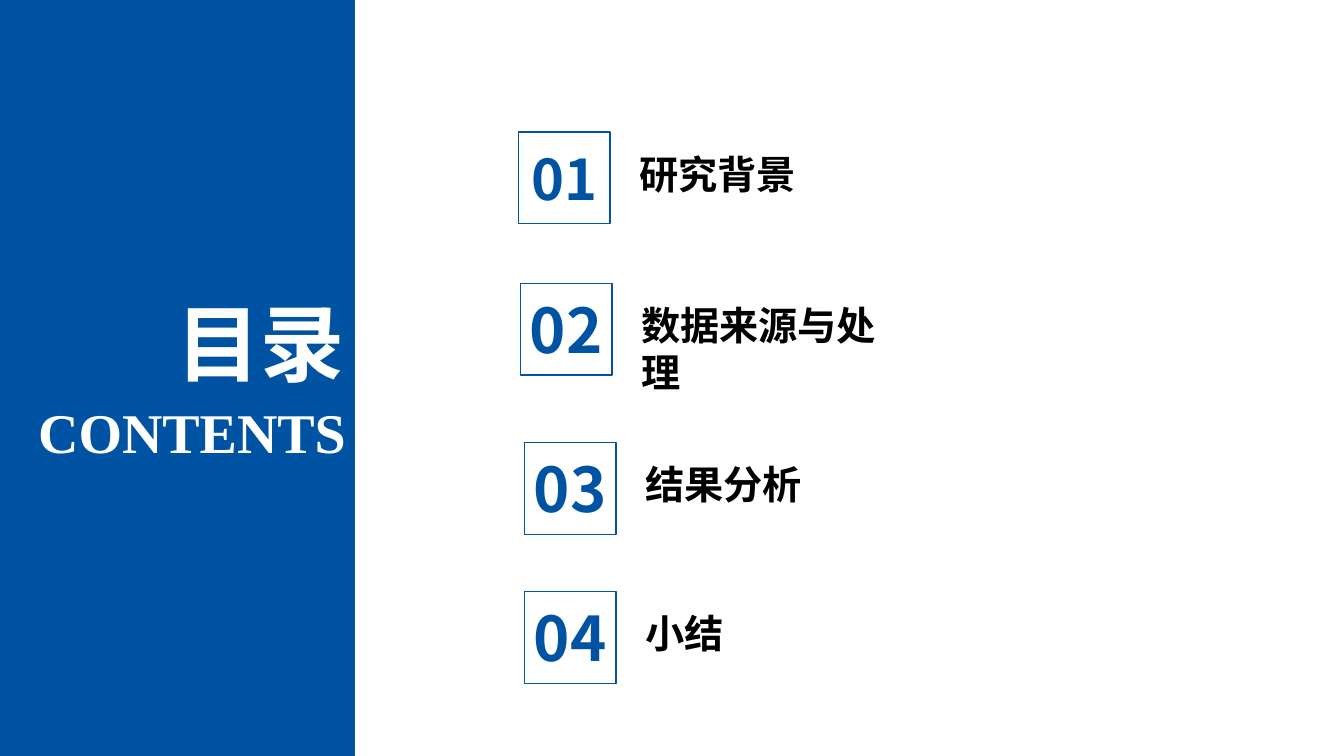
from dataclasses import dataclass

from lxml.etree import SubElement
from pptx import Presentation
from pptx.dml.color import RGBColor
from pptx.enum.shapes import MSO_SHAPE as Shape
from pptx.enum.text import MSO_AUTO_SIZE as AutoSize, PP_ALIGN as Align
from pptx.oxml.ns import qn
from pptx.util import Inches, Pt


@dataclass(frozen=True)
class Theme:
    blue: RGBColor = RGBColor(0x00, 0x53, 0xA3)
    white: RGBColor = RGBColor(0xFF, 0xFF, 0xFF)
    black: RGBColor = RGBColor(0x00, 0x00, 0x00)
    cjk_font: str = "Noto Sans CJK SC"
    latin_font: str = "Times New Roman"
    title_size: int = 60
    subtitle_size: int = 40
    label_size: int = 28
    number_size: int = 44
    first_number_size: int = 40


class ContentsSlide:
    FRAME_SIDE = 0.91
    NUMBER_WIDTH = 0.98
    LABEL_WIDTH = 2.62

    def __init__(self, presentation, theme):
        self.theme = theme
        self.slide = presentation.slides.add_slide(presentation.slide_layouts[6])

    def rectangle(self, parent, left, top, width, height, fill=None, line=None):
        rect = parent.add_shape(Shape.RECTANGLE, Inches(left), Inches(top),
                                Inches(width), Inches(height))
        rect.shadow.inherit = False
        if fill is None:
            rect.fill.background()
        else:
            rect.fill.solid()
            rect.fill.fore_color.rgb = fill
        if line is None:
            rect.line.fill.background()
        else:
            rect.line.color.rgb = line
            rect.line.width = Pt(1)

    def text(self, parent, words, left, top, width, height, size, color,
             font_name=None, align=Align.LEFT):
        box = parent.add_textbox(Inches(left), Inches(top), Inches(width), Inches(height))
        frame = box.text_frame
        frame.word_wrap = True
        frame.auto_size = AutoSize.SHAPE_TO_FIT_TEXT
        frame.text = words
        paragraph = frame.paragraphs[0]
        paragraph.alignment = align
        font = paragraph.runs[0].font
        font.size = Pt(size)
        font.bold = True
        font.color.rgb = color
        font.name = font_name or self.theme.cjk_font
        properties = paragraph.runs[0]._r.get_or_add_rPr()
        SubElement(properties, qn("a:ea")).set("typeface", font.name)

    def side_panel(self):
        theme, shapes = self.theme, self.slide.shapes
        self.rectangle(shapes, 0, 0, 3.52, 7.5, fill=theme.blue)
        self.text(shapes, "目录", 0.98, 2.84, 2.54, 1.11, theme.title_size,
                  theme.white, align=Align.RIGHT)
        self.text(shapes, "CONTENTS", 0, 3.89, 3.53, 0.77, theme.subtitle_size,
                  theme.white, theme.latin_font, Align.RIGHT)

    def entry(self, number, label, left, top, number_size, number_height, label_height):
        """Add one contents entry: a label beside a number centred in its frame."""
        theme, side = self.theme, self.FRAME_SIDE
        group = self.slide.shapes.add_group_shape().shapes
        self.text(group, label, left + 1.1, top + 0.13, self.LABEL_WIDTH, label_height,
                  theme.label_size, theme.black)
        self.text(group, f"{number:02}", left + (side - self.NUMBER_WIDTH) / 2,
                  top + (side - number_height) / 2, self.NUMBER_WIDTH, number_height,
                  number_size, theme.blue, align=Align.CENTER)
        self.rectangle(group, left, top, side, side, line=theme.blue)


def main():
    presentation = Presentation()
    presentation.slide_width = Inches(13.33)
    presentation.slide_height = Inches(7.5)

    theme = Theme()
    contents = ContentsSlide(presentation, theme)
    contents.side_panel()

    first_number = (theme.first_number_size, 0.77)
    later_number = (theme.number_size, 0.84)
    one_line, two_lines = 0.57, 1.04
    entries = [
        ("研究背景", 5.14, 1.31, *first_number, one_line),
        ("数据来源与处理", 5.16, 2.81, *later_number, two_lines),
        ("结果分析", 5.2, 4.39, *later_number, one_line),
        ("小结", 5.2, 5.87, *later_number, one_line),
    ]
    for number, entry in enumerate(entries, start=1):
        contents.entry(number, *entry)

    presentation.save("out.pptx")


if __name__ == "__main__":
    main()
